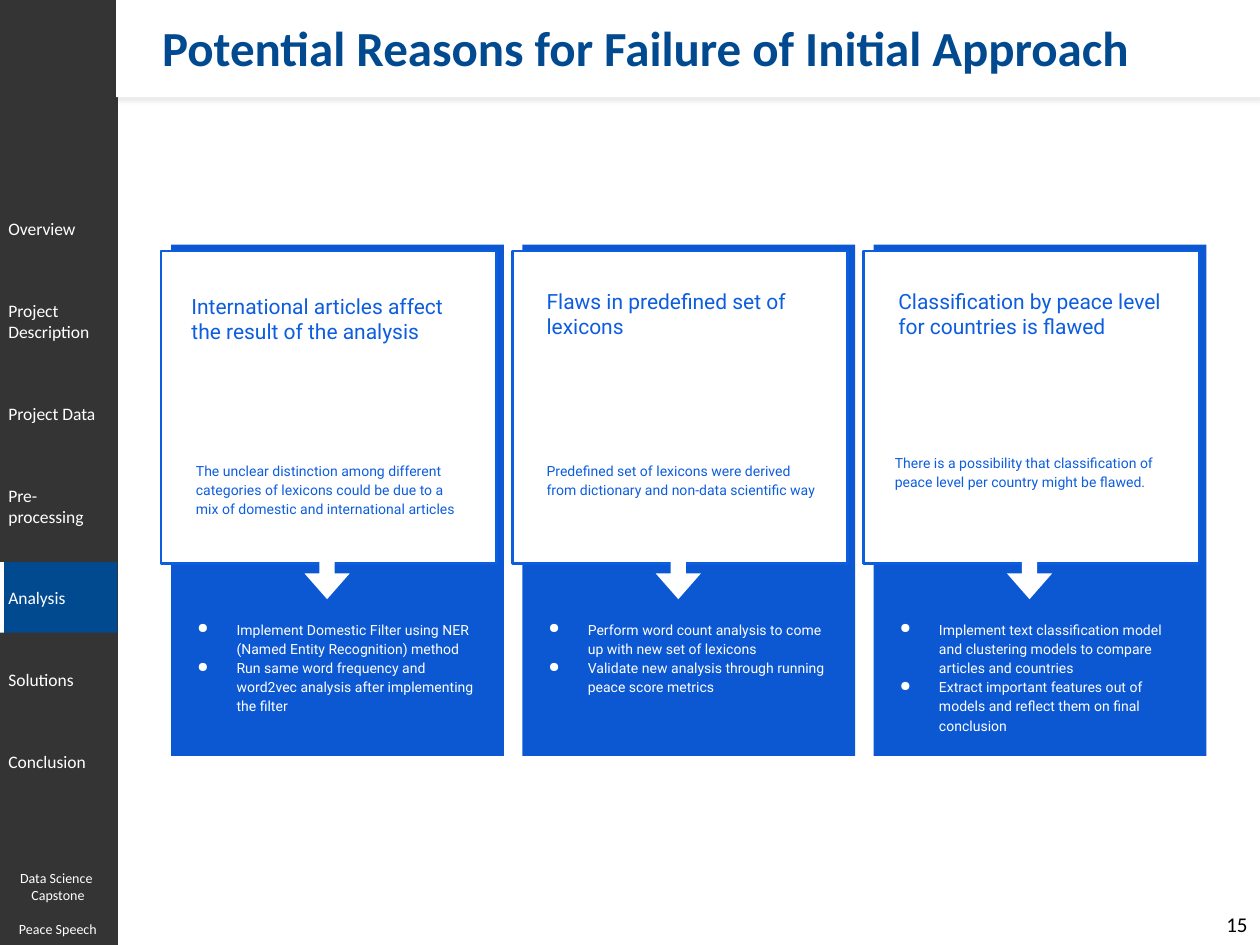
"""Build the slide on why the initial approach failed."""
from dataclasses import dataclass

import pptx
import pptx.dml.color
import pptx.enum.shapes
import pptx.enum.text
import pptx.oxml
import pptx.oxml.ns
import pptx.util
from pptx.util import Cm

SHAPE = pptx.enum.shapes.MSO_SHAPE
ALIGN = pptx.enum.text.PP_ALIGN
ANCHOR = pptx.enum.text.MSO_ANCHOR

TITLE = "Potential Reasons for Failure of Initial Approach"
PAGE = "15"
NAV = [
    ["Overview"],
    ["Project", "Description"],
    ["Project Data"],
    ["Pre-processing"],
    ["Analysis"],
    ["Solutions"],
    ["Conclusion"],
]
ACTIVE = ["Analysis"]
TWO_LINES = (["Project", "Description"], ["Pre-processing"])
FOOTER = ["Data Science ", "Capstone", "Peace Speech"]
CARDS = [
    {
        "reason": "International articles affect the result of the analysis",
        "reason_at": (0.36, 5.66),
        "detail": "The unclear distinction among different categories of lexicons "
                  "could be due to a mix of domestic and international articles",
        "detail_at": (0.45, 9.02),
        "steps": [
            "Implement Domestic Filter using NER (Named Entity Recognition) method",
            "Run same word frequency and word2vec analysis after implementing the filter",
        ],
    },
    {
        "reason": "Flaws in predefined set of lexicons",
        "reason_at": (0.44, 5.56),
        "detail": "Predefined set of lexicons were derived from dictionary "
                  "and non-data scientific way",
        "detail_at": (0.44, 9.02),
        "steps": [
            "Perform word count analysis to come up with new set of lexicons",
            "Validate new analysis through running peace score metrics",
        ],
    },
    {
        "reason": "Classification by peace level for countries is flawed",
        "reason_at": (0.45, 5.56),
        "detail": "There is a possibility that classification of peace level "
                  "per country might be flawed.",
        "detail_at": (0.38, 8.86),
        "steps": [
            "Implement text classification model and clustering models "
            "to compare articles and countries",
            "Extract important features out of models and reflect them on final conclusion",
        ],
    },
]


@dataclass(frozen=True)
class Theme:
    heading: str = "Calibri"
    body: str = "Roboto"
    white: str = "FFFFFF"
    black: str = "000000"
    sidebar: str = "343434"
    navy: str = "024A90"
    panel: str = "0C58D3"
    blue: str = "0D5DDF"
    title_size: int = 28
    reason_size: int = 12
    page_size: int = 12
    nav_size: int = 10
    small_size: int = 8


T = Theme()


def rgb(value):
    return pptx.dml.color.RGBColor.from_string(value)


def add_box(shapes, at, fill, line=None, kind=SHAPE.RECTANGLE):
    sp = shapes.add_shape(kind, *map(Cm, at))
    sp.shadow.inherit = False
    sp.fill.solid()
    sp.fill.fore_color.rgb = rgb(fill)
    if line:
        sp.line.color.rgb = rgb(line)
        sp.line.width = pptx.util.Pt(1.5)
    else:
        sp.line.fill.background()
    return sp


def add_text(shapes, at, lines, font, size, color, bold=False, align=ALIGN.LEFT,
             anchor=ANCHOR.TOP, pad=(0.25, 0.13), spacing=None):
    tf = shapes.add_textbox(*map(Cm, at)).text_frame
    tf.word_wrap = True
    tf.vertical_anchor = anchor
    tf.margin_left = tf.margin_right = Cm(pad[0])
    tf.margin_top = tf.margin_bottom = Cm(pad[1])
    tf.text = "\n".join(lines)
    for p in tf.paragraphs:
        p.alignment = align
        p.line_spacing = spacing
        for r in p.runs:
            r.font.name = font
            r.font.size = pptx.util.Pt(size)
            r.font.bold = bold
            r.font.color.rgb = rgb(color)
    return tf


def add_bullet(p, color):
    pPr = p._p.get_or_add_pPr()
    pPr.set("marL", str(Cm(1.27)))
    pPr.set("indent", str(Cm(-0.79)))
    ns = pptx.oxml.ns.nsdecls("a")
    for xml in (f'<a:buClr {ns}><a:srgbClr val="{color}"/></a:buClr>',
                f'<a:buChar {ns} char="●"/>'):
        pPr.append(pptx.oxml.parse_xml(xml))


def add_soft_shadow(sp):
    effects = sp._element.spPr.find(pptx.oxml.ns.qn("a:effectLst"))
    effects.append(pptx.oxml.parse_xml(
        f'<a:outerShdw {pptx.oxml.ns.nsdecls("a")} blurRad="25400" dist="25400" '
        f'dir="5400000" algn="t" rotWithShape="0"><a:srgbClr val="{T.black}">'
        '<a:alpha val="7000"/></a:srgbClr></a:outerShdw>'))


def add_sidebar(shapes):
    add_box(shapes, (0, 0, 2.38, 19.05), T.sidebar)
    top, gap = 4.27, 0.96
    for item in NAV:
        height = 1.11 if item in TWO_LINES else 0.69
        if item == ACTIVE:
            mark_top = top + height / 2 - 0.72
            add_box(shapes, (0, mark_top, 2.37, 1.42), T.navy)
            add_box(shapes, (0, mark_top, 0.08, 1.42), T.white)
        add_text(shapes, (0, top, 2.18, height), item, T.heading, T.nav_size,
                 T.white, pad=(0.17, 0.13))
        top += height + gap
    tf = add_text(shapes, (0, 17.37, 2.34, 1.68), FOOTER, T.heading, T.small_size,
                  T.white, align=ALIGN.CENTER, anchor=ANCHOR.MIDDLE)
    tf.paragraphs[-1].space_before = pptx.util.Pt(9.8)


def add_card(shapes, left, card):
    pad = (0.25, 0.25)
    add_box(shapes, (left + 0.2, 4.93, 6.71, 10.31), T.panel)
    add_box(shapes, (left, 5.06, 6.76, 6.3), T.white, T.blue)
    arrow = add_box(shapes, (left + 2.89, 11.09, 0.91, 0.99), T.white,
                    kind=SHAPE.DOWN_ARROW)
    arrow.adjustments[0], arrow.adjustments[1] = 0.34, 0.57
    dx, top = card["reason_at"]
    add_text(shapes, (left + dx, top, 6, 1.68), [card["reason"]], T.body,
             T.reason_size, T.blue, pad=pad)
    dx, top = card["detail_at"]
    add_text(shapes, (left + dx, top, 6, 2.11), [card["detail"]], T.body,
             T.small_size, T.blue, pad=pad, spacing=1.15)
    tf = add_text(shapes, (left, 12.22, 6.71, 2.74), card["steps"], T.body,
                  T.small_size, T.white, pad=pad, spacing=1.15)
    for p in tf.paragraphs:
        add_bullet(p, T.white)


def main():
    prs = pptx.Presentation()
    prs.slide_width, prs.slide_height = Cm(25.4), Cm(19.05)
    s = prs.slides.add_slide(prs.slide_layouts[6])
    add_sidebar(s.shapes)
    add_soft_shadow(add_box(s.shapes, (2.34, 0, 23.06, 1.96), T.white))
    add_text(s.shapes, (3.02, 0.23, 21.54, 1.45), [TITLE], T.heading,
             T.title_size, T.navy, bold=True)
    for i, card in enumerate(CARDS):
        add_card(s.shapes.add_group_shape().shapes, 3.25 + 7.08 * i, card)
    add_text(s.shapes, (24.36, 18.19, 1.04, 0.86), [PAGE], T.heading, T.page_size,
             T.black, align=ALIGN.RIGHT, anchor=ANCHOR.MIDDLE)
    prs.save("out.pptx")


if __name__ == "__main__":
    main()
